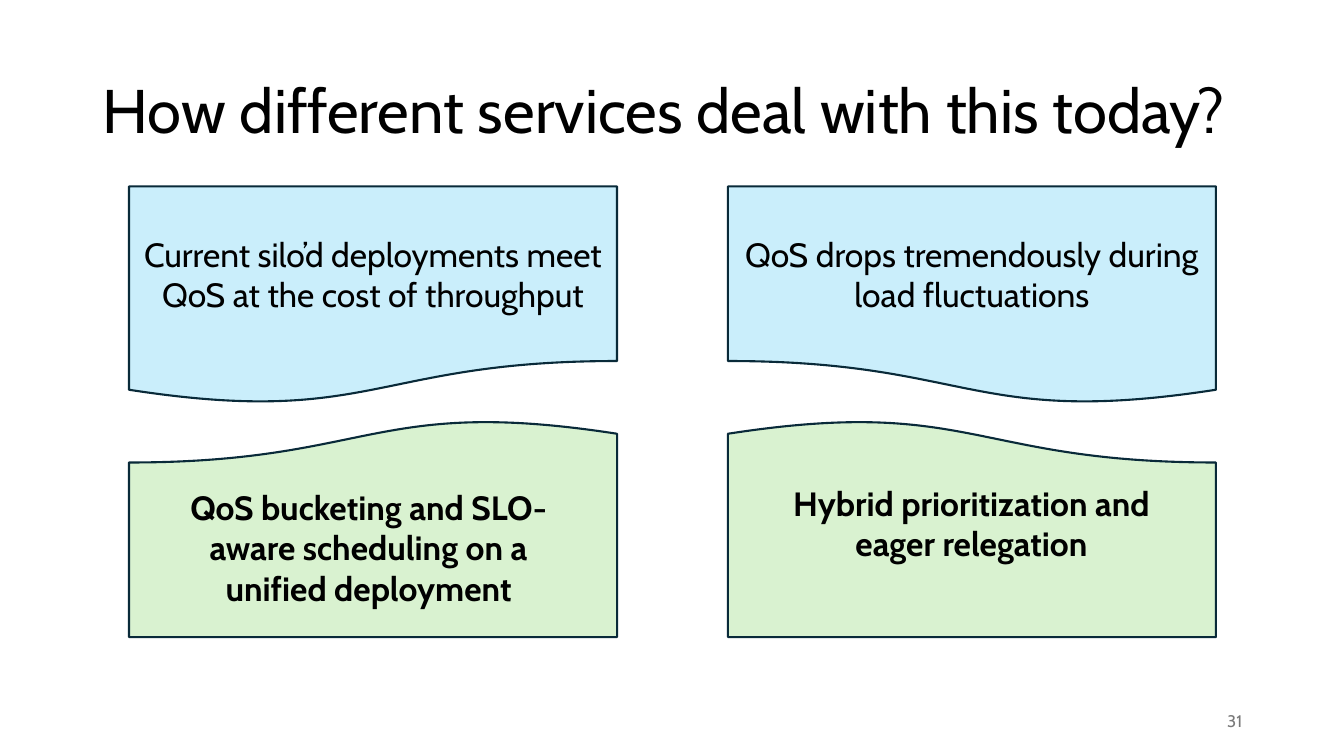
from pptx import Presentation
from pptx.dml.color import RGBColor
from pptx.enum.shapes import MSO_SHAPE
from pptx.enum.text import MSO_ANCHOR, MSO_AUTO_SIZE, PP_ALIGN
from pptx.util import Pt

PX = 9144
DOCUMENT = MSO_SHAPE.FLOWCHART_DOCUMENT
TOP, MIDDLE = MSO_ANCHOR.TOP, MSO_ANCHOR.MIDDLE
GROW, FIXED = MSO_AUTO_SIZE.SHAPE_TO_FIT_TEXT, MSO_AUTO_SIZE.NONE
LEFT, CENTER, RIGHT = PP_ALIGN.LEFT, PP_ALIGN.CENTER, PP_ALIGN.RIGHT

BLACK, GRAY, NAVY = "000000", "797979", "092A39"
BLUE, GREEN = "CAEEFB", "D9F2D0"
CARD_WIDTH, CARD_HEIGHT = 484, 216
PROBLEM_TOP, SOLUTION_TOP = 185, 416


def color(value):
    return RGBColor.from_string(value)


def emu(*lengths):
    return [length * PX for length in lengths]


class SlideBuilder:
    font = "Cabin"

    def __init__(self, page):
        self.page = page

    def add_label(self, box, text, size, align, anchor=MIDDLE, ink=BLACK, bold=False, spacing=1.0):
        frame = box.text_frame
        frame.word_wrap = True
        frame.vertical_anchor = anchor
        para = frame.paragraphs[0]
        para.alignment = align
        para.line_spacing = spacing
        span = para.add_run()
        span.text = text
        span.font.name = self.font
        span.font.size = Pt(size)
        span.font.bold = bold
        span.font.color.rgb = color(ink)

    def add_text(self, bounds, text, size, align, parent=None, grow=False, **style):
        box = (parent or self.page).shapes.add_textbox(*emu(*bounds))
        self.add_label(box, text, size, align, **style)
        box.text_frame.auto_size = GROW if grow else FIXED

    def add_card(self, left, top, fill, flipped, parent=None, rotation=0):
        bounds = emu(left, top, CARD_WIDTH, CARD_HEIGHT)
        box = (parent or self.page).shapes.add_shape(DOCUMENT, *bounds)
        box.shadow.inherit = False
        box.fill.solid()
        box.fill.fore_color.rgb = color(fill)
        box.line.color.rgb = color(NAVY)
        box.line.width = Pt(1.5)
        box.rotation = rotation
        if flipped:
            box._element.spPr.get_or_add_xfrm().set("flipH", "1")
        return box

    def add_problem(self, left, flipped, text):
        box = self.add_card(left, PROBLEM_TOP, BLUE, flipped)
        self.add_label(box, text, 24, CENTER)

    def add_solution(self, left, flipped, text, bounds):
        group = self.page.shapes.add_group_shape()
        self.add_card(left, SOLUTION_TOP, GREEN, flipped, group, 180)
        self.add_text(bounds, text, 24, CENTER, group, grow=True, anchor=TOP, bold=True)


def main():
    deck = Presentation()
    deck.slide_width, deck.slide_height = emu(1333, 750)
    builder = SlideBuilder(deck.slides.add_slide(deck.slide_layouts[6]))

    builder.add_text((92, 40, 1150, 145), "How different services deal with this today?",
                     44, LEFT, spacing=0.9)
    columns = [
        (128, False, "Current silo’d deployments meet QoS at the cost of throughput",
         "QoS bucketing and SLO-aware scheduling on a unified deployment", (155, 478, 421, 131)),
        (722, True, "QoS drops tremendously during load fluctuations",
         "Hybrid prioritization and eager relegation", (753, 474, 421, 91)),
    ]
    for left, flipped, problem, solution, bounds in columns:
        builder.add_problem(left, flipped, problem)
        builder.add_solution(left, flipped, solution, bounds)
    builder.add_text((942, 695, 300, 40), "31", 12, RIGHT, ink=GRAY)

    deck.save("out.pptx")


if __name__ == "__main__":
    main()
